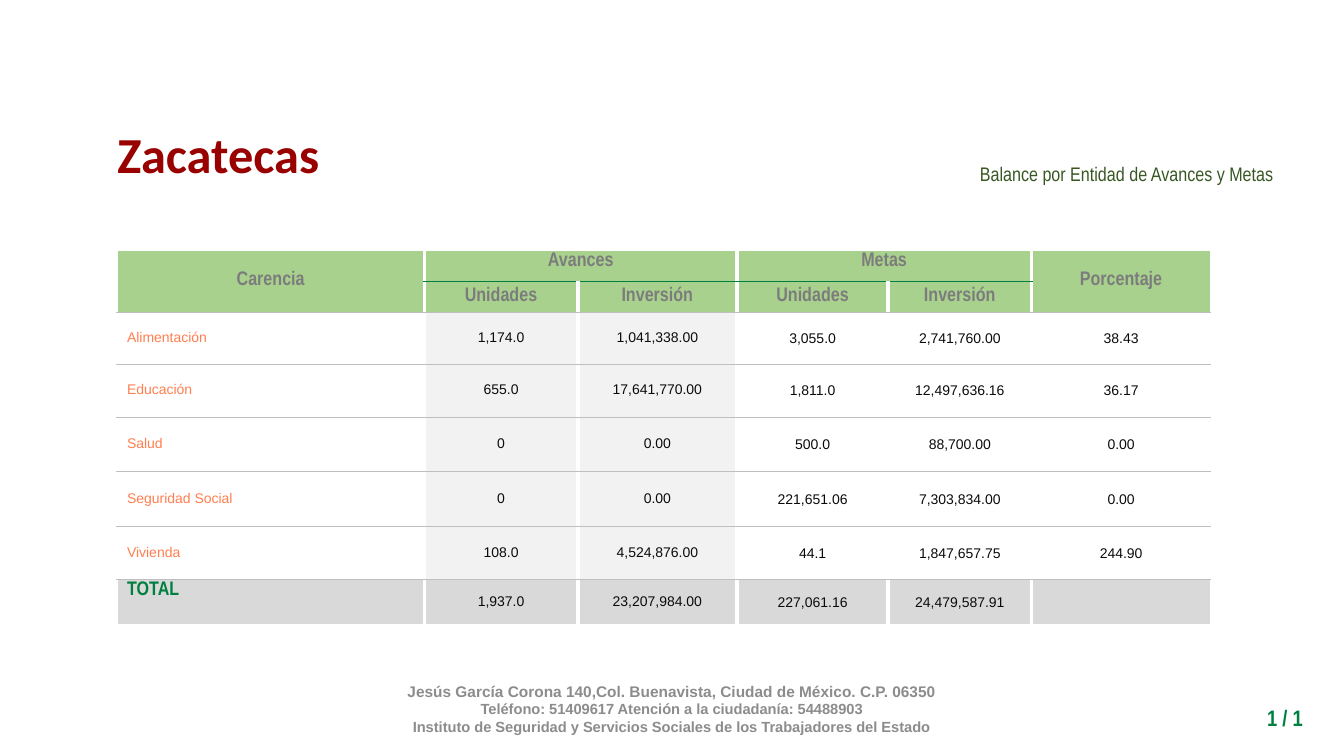
from dataclasses import dataclass

from lxml.etree import SubElement
from pptx import Presentation
from pptx.dml.color import RGBColor
from pptx.enum.text import MSO_ANCHOR, PP_ALIGN
from pptx.oxml import parse_xml
from pptx.oxml.ns import nsdecls, qn
from pptx.util import Inches, Pt

COLORS = {
    "white": "FFFFFF", "rule": "BFBFBF", "green": "008040", "head": "A9D18E",
    "label": "7C7C7C", "coral": "FF7F50", "ink": "0B0B0B", "pale": "F2F2F2",
    "total": "D9D9D9", "red": "990000", "forest": "385723", "foot": "8C8C8C",
}


@dataclass(frozen=True)
class Style:
    size: float
    face: str
    color: str
    bold: bool = False
    align: PP_ALIGN = PP_ALIGN.CENTER


@dataclass(frozen=True)
class Label:
    lines: tuple[str, ...]
    box: tuple[float, float, float, float]
    styles: tuple[Style, ...]
    anchor: MSO_ANCHOR = MSO_ANCHOR.MIDDLE
    wrap: bool = True
    pitch: float = 1.0


HEAD = Style(14, "Arial Narrow", "label", True)
NAME = Style(10, "Arial", "coral", align=PP_ALIGN.LEFT)
VALUE = Style(10, "Arial", "ink")
TOTAL = Style(14, "Arial Narrow", "green", True, PP_ALIGN.LEFT)
SMALL = Style(10.5, "Arial", "foot", True)

TITLE = Label(("Zacatecas",), (1.05, 1.17, 2.23, 0.71),
              (Style(36, "Calibri", "red", True),), MSO_ANCHOR.TOP, False)
LABELS = (
    Label(("Balance por Entidad de Avances y Metas",), (6.69, 1.23, 6.04, 0.95),
          (Style(14, "Arial Narrow", "forest", align=PP_ALIGN.RIGHT),), pitch=1.15),
    Label(("Jesús García Corona 140,Col. Buenavista, Ciudad de México. C.P. 06350",
           "Teléfono: 51409617 Atención a la ciudadanía: 54488903",
           "Instituto de Seguridad y Servicios Sociales de los Trabajadores del Estado"),
          (2.88, 6.83, 7.57, 0.4),
          (Style(11, "Arial", "foot", True), SMALL, SMALL)),
    Label(("1 / 1",), (11.76, 6.94, 1.26, 0.37),
          (Style(16, "Arial Narrow", "green", True, PP_ALIGN.RIGHT),), MSO_ANCHOR.TOP),
)

COLS = (3.05, 1.52, 1.58, 1.5, 1.42, 1.78)
ROWS = (0.31, 0.31, 0.51, 0.53, 0.54, 0.54, 0.53, 0.46)
MERGES = ((0, 0, 1, 0), (0, 1, 0, 2), (0, 3, 0, 4), (0, 5, 1, 5))
DATA = (
    ("Carencia", "Avances", "", "Metas", "", "Porcentaje"),
    ("", "Unidades", "Inversión", "Unidades", "Inversión", ""),
    ("Alimentación", "1,174.0", "1,041,338.00", "3,055.0", "2,741,760.00", "38.43"),
    ("Educación", "655.0", "17,641,770.00", "1,811.0", "12,497,636.16", "36.17"),
    ("Salud", "0", "0.00", "500.0", "88,700.00", "0.00"),
    ("Seguridad Social", "0", "0.00", "221,651.06", "7,303,834.00", "0.00"),
    ("Vivienda", "108.0", "4,524,876.00", "44.1", "1,847,657.75", "244.90"),
    ("TOTAL", "1,937.0", "23,207,984.00", "227,061.16", "24,479,587.91", ""),
)
LAST = len(ROWS) - 1
END = len(COLS) - 1


def rgb(name: str) -> RGBColor:
    return RGBColor.from_string(COLORS[name])


def format_text(par, style: Style) -> None:
    par.alignment = style.align
    font = par.font
    font.size, font.name, font.bold = Pt(style.size), style.face, style.bold
    font.color.rgb = rgb(style.color)


def write_label(shape, label: Label) -> None:
    shape.left, shape.top, shape.width, shape.height = map(Inches, label.box)
    frame = shape.text_frame
    frame.text = "\n".join(label.lines)
    frame.word_wrap = label.wrap
    frame.vertical_anchor = label.anchor
    for par, style in zip(frame.paragraphs, label.styles):
        format_text(par, style)
        par.line_spacing = label.pitch


def add_border(cell, side: str, color: str, width: float) -> None:
    line = SubElement(cell._tc.get_or_add_tcPr(), qn(f"a:ln{side}"), w=str(Pt(width)))
    fill = SubElement(line, qn("a:solidFill"))
    SubElement(fill, qn("a:srgbClr"), val=COLORS[color])


def draw_borders(cell, row: int, col: int) -> None:
    inner = 0 < col < END
    if col > 0:
        add_border(cell, "L", "white", 3)
    if col < END:
        add_border(cell, "R", "white", 3)
    if row > 0:
        split = row == 1 and inner
        add_border(cell, "T", *(("green", 0.25) if split else ("rule", 0.5)))
    if row == LAST:
        add_border(cell, "B", "white", 3)
    else:
        split = row == 0 and inner
        add_border(cell, "B", *(("green", 0.25) if split else ("rule", 0.5)))


def pick_style(row: int, col: int) -> Style:
    if row < 2:
        return HEAD
    if col == 0:
        return TOTAL if row == LAST else NAME
    return VALUE


def pick_fill(row: int, col: int) -> str | None:
    if row < 2:
        return "head"
    if row == LAST:
        return "total"
    return "pale" if col in (1, 2) else None


def draw_cell(cell, row: int, col: int) -> None:
    draw_borders(cell, row, col)
    fill = pick_fill(row, col)
    if fill:
        cell.fill.solid()
        cell.fill.fore_color.rgb = rgb(fill)
    else:
        cell.fill.background()
    # Group heads and the total name sit at the top of their cells
    high = (row, col) in ((0, 1), (0, 3), (LAST, 0))
    cell.vertical_anchor = MSO_ANCHOR.TOP if high else MSO_ANCHOR.MIDDLE
    cell.margin_top = Inches(0.02)
    cell.margin_bottom = Inches(0.03)
    if row > 1 and col > 2:
        cell.margin_left = cell.margin_right = cell.margin_top = Inches(0.01)
        cell.margin_bottom = 0
    cell.text = DATA[row][col]
    format_text(cell.text_frame.paragraphs[0], pick_style(row, col))


def draw_table(slide) -> None:
    table = slide.shapes.add_table(
        len(ROWS), len(COLS), Inches(1.16), Inches(2.48),
        Inches(sum(COLS)), Inches(sum(ROWS))).table
    table.first_row = table.horz_banding = False
    for part, width in zip(table.columns, COLS):
        part.width = Inches(width)
    for part, height in zip(table.rows, ROWS):
        part.height = Inches(height)
    for top, left, low, right in MERGES:
        table.cell(top, left).merge(table.cell(low, right))
    for row in range(len(ROWS)):
        for col in range(len(COLS)):
            cell = table.cell(row, col)
            if not cell.is_spanned:
                draw_cell(cell, row, col)


def main() -> None:
    deck = Presentation()
    deck.slide_width, deck.slide_height = Inches(13.33), Inches(7.5)
    slide = deck.slides.add_slide(deck.slide_layouts[5])

    # Title with a thin white outline
    title = slide.shapes.title
    write_label(title, TITLE)
    edge = parse_xml(
        f'<a:ln {nsdecls("a")} w="{Pt(0.75)}"><a:solidFill>'
        f'<a:srgbClr val="{COLORS["white"]}"/></a:solidFill></a:ln>')
    title.text_frame.paragraphs[0].runs[0]._r.get_or_add_rPr().insert(0, edge)

    # Balance table
    draw_table(slide)

    # Subtitle, address and page number
    for label in LABELS:
        write_label(slide.shapes.add_textbox(0, 0, 0, 0), label)

    deck.save("out.pptx")


if __name__ == "__main__":
    main()
